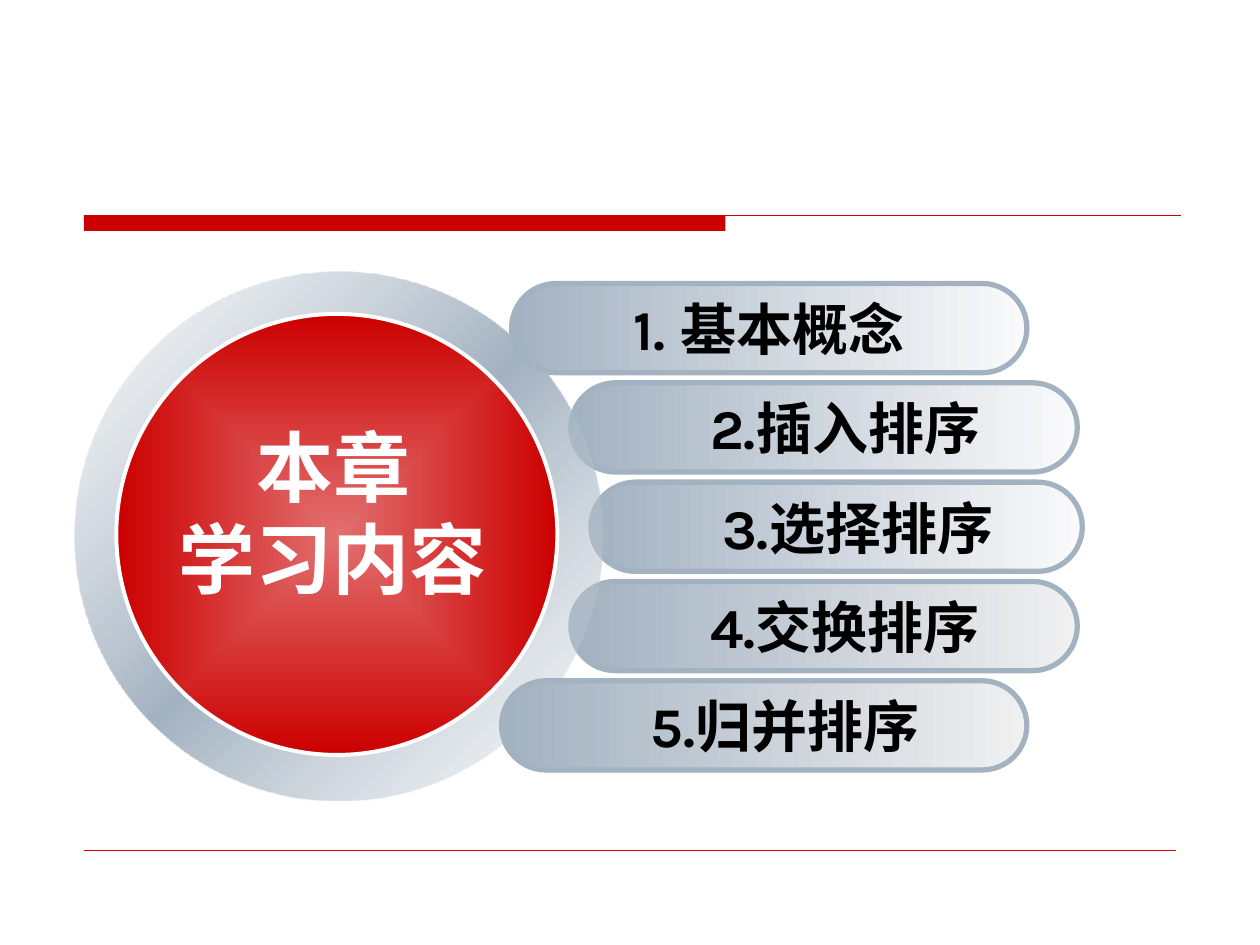
from dataclasses import dataclass

from lxml import etree
from pptx import Presentation
from pptx.dml.color import RGBColor
from pptx.enum.shapes import MSO_CONNECTOR, MSO_SHAPE
from pptx.enum.text import MSO_ANCHOR, MSO_AUTO_SIZE, PP_ALIGN
from pptx.oxml import parse_xml
from pptx.oxml.ns import nsdecls, qn
from pptx.util import Pt


@dataclass(frozen=True)
class Theme:
    red: str = "CC0000"
    light_red: str = "E26F6F"
    steel: str = "A3B2C1"
    pale_steel: str = "C7D0D9"
    near_white: str = "FAFAFB"
    light_grey: str = "F0F0F0"
    white: str = "FFFFFF"
    black: str = "000000"
    topic_font: str = "Karla"
    heading_font: str = "Arial"
    topic_size: int = 32
    heading_size: int = 44


theme = Theme()


def fill_gradient(shape, stops, direction):
    stop_xml = "".join(
        f'<a:gs pos="{pos * 1000}"><a:srgbClr val="{color}">'
        f'<a:alpha val="{alpha * 1000}"/></a:srgbClr></a:gs>'
        for pos, color, alpha in stops
    )
    gradient = parse_xml(
        f'<a:gradFill {nsdecls("a")} rotWithShape="1">'
        f"<a:gsLst>{stop_xml}</a:gsLst>{direction}</a:gradFill>"
    )
    shape._element.spPr.find(qn("a:prstGeom")).addnext(gradient)
    shape.shadow.inherit = False


def add_topic(row, left, width, end_color, indent, title):
    topic = slide.shapes.add_shape(
        MSO_SHAPE.ROUNDED_RECTANGLE, Pt(left), Pt(162 + 56.75 * row), Pt(width), Pt(51)
    )
    topic.adjustments[0] = 0.5
    fill_gradient(topic, [(0, theme.steel, 100), (100, end_color, 100)], '<a:lin ang="0"/>')
    topic.line.color.rgb = RGBColor.from_string(theme.steel)
    topic.line.width = Pt(3)
    frame = topic.text_frame
    frame.word_wrap = False
    frame.vertical_anchor = MSO_ANCHOR.MIDDLE
    frame.margin_left = Pt(7.2 + indent)
    paragraph = frame.paragraphs[0]
    paragraph.alignment = PP_ALIGN.CENTER
    run = paragraph.add_run()
    run.text = title
    run.font.name = theme.topic_font
    run.font.size = Pt(theme.topic_size)
    run.font.bold = True
    run.font.color.rgb = RGBColor.from_string(theme.black)


prs = Presentation()
prs.slide_width, prs.slide_height = Pt(720), Pt(540)
slide = prs.slides.add_slide(prs.slide_layouts[6])

header_bar = slide.shapes.add_shape(MSO_SHAPE.RECTANGLE, Pt(48), Pt(123), Pt(366.5), Pt(9))
header_bar.shadow.inherit = False
header_bar.fill.solid()
header_bar.fill.fore_color.rgb = RGBColor.from_string(theme.red)
header_bar.line.fill.background()

for y, right, weight in [(123, 675), (486, 672)] and [(123, 675, 0.75), (486, 672, 0.25)]:
    rule = slide.shapes.add_connector(MSO_CONNECTOR.STRAIGHT, Pt(48), Pt(y), Pt(right), Pt(y))
    rule.line.color.rgb = RGBColor.from_string(theme.red)
    rule.line.width = Pt(weight)
    etree.SubElement(rule._element.spPr, qn("a:effectLst"))

topics = [
    (292.3, 294.5, theme.near_white, 0, "1. 基本概念"),
    (326.2, 289.4, theme.near_white, 24, "2.插入排序"),
    (337.7, 280.8, theme.near_white, 24, "3.选择排序"),
    (326.2, 289.4, theme.light_grey, 24, "4.交换排序"),
    (286.6, 300.2, theme.light_grey, 24, "5.归并排序"),
]
for row, topic_values in enumerate(topics[:-1]):
    add_topic(row, *topic_values)

ring = slide.shapes.add_shape(MSO_SHAPE.DONUT, Pt(42.5), Pt(155.4), Pt(301.8), Pt(301.8))
ring.adjustments[0] = 0.09
fill_gradient(
    ring,
    [(0, theme.pale_steel, 12), (50, theme.steel, 100), (100, theme.pale_steel, 12)],
    '<a:lin ang="2700000"/>',
)
ring.line.fill.background()

disc = slide.shapes.add_shape(MSO_SHAPE.OVAL, Pt(66.5), Pt(179.4), Pt(252), Pt(252))
fill_gradient(
    disc,
    [(0, theme.light_red, 100), (100, theme.red, 100)],
    '<a:path path="rect"><a:fillToRect l="50000" t="50000" r="50000" b="50000"/></a:path>',
)
disc.line.color.rgb = RGBColor.from_string(theme.white)
disc.line.width = Pt(2.25)

heading = slide.shapes.add_textbox(Pt(82), Pt(236.2), Pt(216.7), Pt(113))
heading_frame = heading.text_frame
heading_frame.word_wrap = True
heading_frame.auto_size = MSO_AUTO_SIZE.SHAPE_TO_FIT_TEXT
for index, words in enumerate(["本章", "学习内容"]):
    paragraph = heading_frame.add_paragraph() if index else heading_frame.paragraphs[0]
    paragraph.alignment = PP_ALIGN.CENTER
    run = paragraph.add_run()
    run.text = words
    run.font.name = theme.heading_font
    run.font.size = Pt(theme.heading_size)
    run.font.bold = True
    run.font.color.rgb = RGBColor.from_string(theme.white)
    text_shadow = parse_xml(
        f'<a:effectLst {nsdecls("a")}><a:outerShdw dist="35921" dir="2700000">'
        f'<a:srgbClr val="{theme.black}"/></a:outerShdw></a:effectLst>'
    )
    run.font._element.find(qn("a:solidFill")).addnext(text_shadow)

add_topic(len(topics) - 1, *topics[-1])

prs.save("out.pptx")
